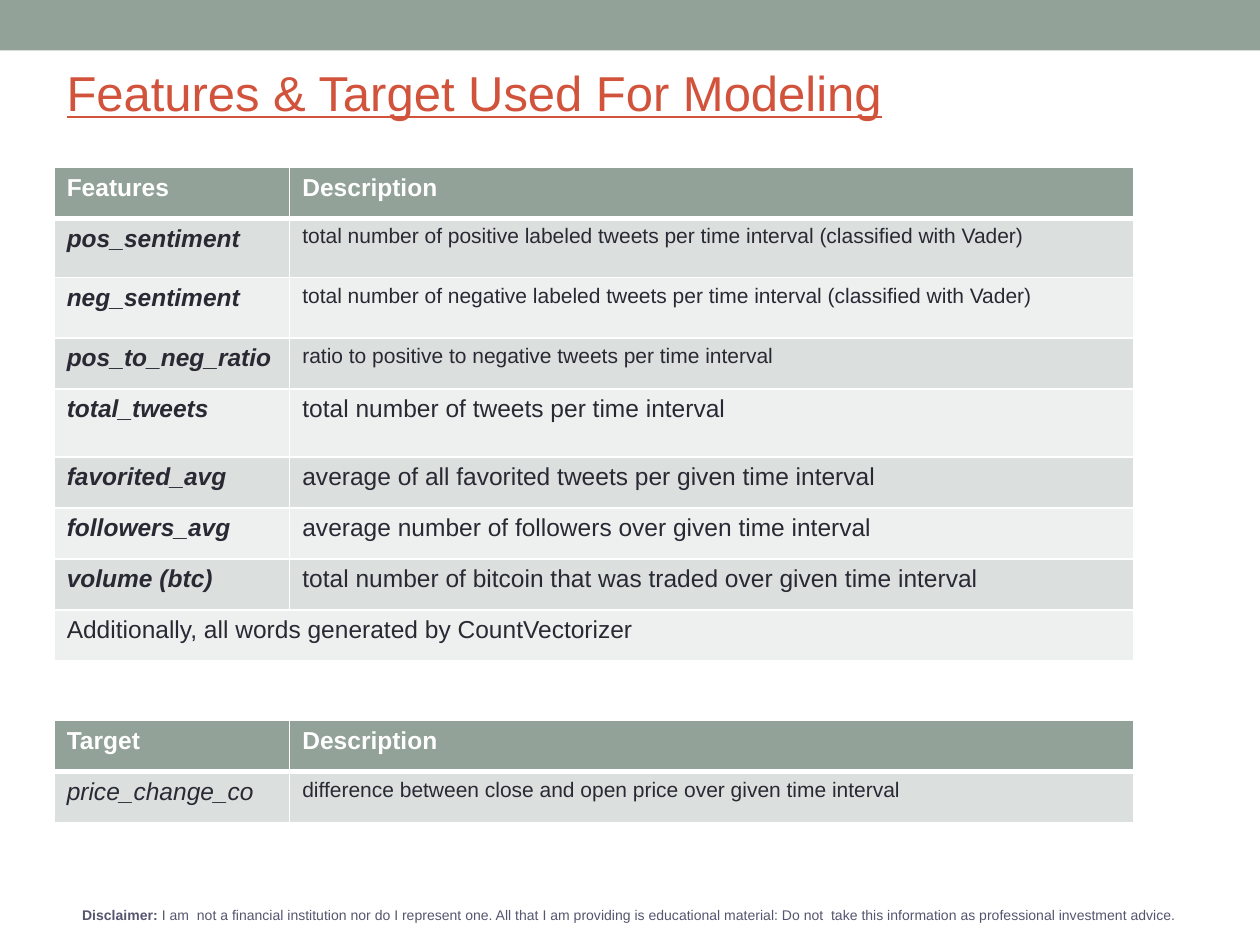
from dataclasses import dataclass
from lxml.etree import SubElement as Sub
from pptx import Presentation
from pptx.dml.color import RGBColor as Rgb
from pptx.enum.shapes import MSO_SHAPE as Kind
from pptx.enum.text import MSO_ANCHOR as Anchor, PP_ALIGN as Align
from pptx.oxml.ns import qn
from pptx.util import Inches, Pt

WIDE, HIGH = 10, 7.5
LEFT = 0.43
COLS = 1.87, 6.7
ROW = 0.81 / 2
SAGE, RUST, SLATE, INK, WHITE = "93A299", "D2533C", "55556F", "292934", "FFFFFF"
BANDS = "DBDFDD", "EEF0EF"


@dataclass
class Row:
    name: str
    text: str = ""
    size: float = 14
    share: float = 1
    bold: bool = True
    slant: bool = True


@dataclass
class Grid:
    top: float
    head: str
    rows: list[Row]


GRIDS = [
    Grid(1.33, "Features", [
        Row("pos_sentiment", "total number of positive labeled tweets per time interval (classified with Vader)", 12, 1.16),
        Row("neg_sentiment", "total number of negative labeled tweets per time interval (classified with Vader)", 12, 1.18),
        Row("pos_to_neg_ratio", "ratio to positive to negative tweets per time interval", 12),
        Row("total_tweets", "total number of tweets per time interval", share=1.33),
        Row("favorited_avg", "average of all favorited tweets per given time interval"),
        Row("followers_avg", "average number of followers over given time interval"),
        Row("volume (btc)", "total number of bitcoin that was traded over given time interval"),
        Row("Additionally, all words generated by CountVectorizer", bold=False, slant=False),
    ]),
    Grid(5.72, "Target", [
        Row("price_change_co", "difference between close and open price over given time interval", 12, bold=False),
    ]),
]


def tint(code: str) -> Rgb:
    return Rgb.from_string(code)


def style(run, size: float, code: str, bold=False, slant=False, under=False) -> None:
    font = run.font
    font.name, font.size = "Arial", Pt(size)
    font.bold, font.italic, font.underline = bold, slant, under
    font.color.rgb = tint(code)


def box(slide, left: float, top: float, wide: float, high: float):
    frame = slide.shapes.add_textbox(*map(Inches, (left, top, wide, high))).text_frame
    frame.word_wrap = True
    return frame


def edge(cell, side: str, width: float) -> None:
    line = Sub(cell._tc.get_or_add_tcPr(), qn("a:ln" + side), w=str(Pt(width)))
    fill = Sub(line, qn("a:solidFill"))
    Sub(fill, qn("a:srgbClr"), val=WHITE)


def paint(cell, text: str, back: str, rank: int, *look) -> None:
    cell.text_frame.text = text
    for run in cell.text_frame.paragraphs[0].runs:
        style(run, *look)
    for side in "LRTB":
        thick = (side, rank) in (("B", 0), ("T", 1))
        edge(cell, side, 3 if thick else 1)
    cell.fill.solid()
    cell.fill.fore_color.rgb = tint(back)


def draw(slide, grid: Grid) -> None:
    shares = [1] + [row.share for row in grid.rows]
    table = slide.shapes.add_table(
        len(shares), len(COLS), Inches(LEFT), Inches(grid.top),
        Inches(sum(COLS)), Inches(ROW * sum(shares))).table
    for col, wide in zip(table.columns, COLS):
        col.width = Inches(wide)
    for line, share in zip(table.rows, shares):
        line.height = Inches(ROW * share)
    for col, text in enumerate((grid.head, "Description")):
        paint(table.cell(0, col), text, SAGE, 0, 14, WHITE, True)
    for rank, row in enumerate(grid.rows, 1):
        back = BANDS[(rank - 1) % 2]
        name, note = table.cell(rank, 0), table.cell(rank, 1)
        paint(name, row.name, back, rank, 14, INK, row.bold, row.slant)
        paint(note, row.text, back, rank, row.size, INK)
        if not row.text:
            name.merge(note)


def main() -> None:
    deck = Presentation()
    deck.slide_width, deck.slide_height = Inches(WIDE), Inches(HIGH)
    slide = deck.slides.add_slide(deck.slide_layouts[6])

    band = slide.shapes.add_shape(Kind.RECTANGLE, 0, 0, Inches(WIDE), Inches(0.4))
    band.shadow.inherit = False
    band.fill.solid()
    band.fill.fore_color.rgb = tint(SAGE)
    band.line.fill.background()

    title = box(slide, LEFT, 0.19, 9, 1.08)
    title.vertical_anchor = Anchor.MIDDLE
    title.text = "Features & Target Used For Modeling"
    style(title.paragraphs[0].runs[0], 28, RUST, under=True)

    for grid in GRIDS:
        draw(slide, grid)

    foot = box(slide, 0, 7.16, WIDE, 0.34).paragraphs[0]
    foot.alignment, foot.line_spacing = Align.CENTER, 0.9
    foot._p.get_or_add_pPr().set("indent", str(Inches(-0.06)))
    for text, bold in (
        ("Disclaimer: ", True),
        ("I am  not a financial institution nor do I represent one. "
         "All that I am providing is educational material: "
         "Do not  take this information as professional investment advice.", False),
    ):
        run = foot.add_run()
        run.text = text
        style(run, 8, SLATE, bold)

    deck.save("out.pptx")


if __name__ == "__main__":
    main()
